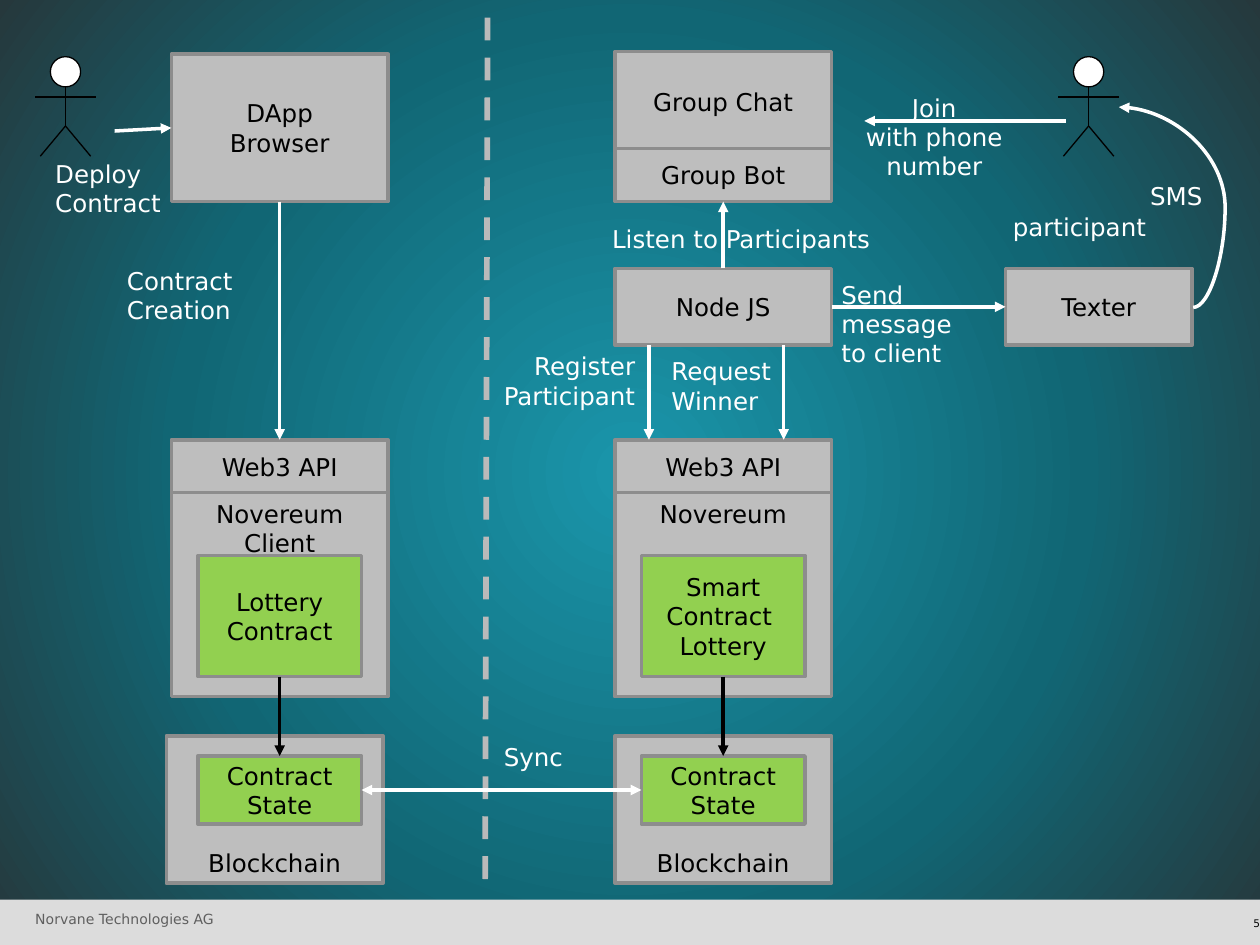
"""Build the lottery contract architecture slide."""
from dataclasses import dataclass
from typing import Any, Optional, Tuple, Union

import pptx
import pptx.dml.color
import pptx.enum.dml
import pptx.enum.shapes
import pptx.enum.text
import pptx.oxml
import pptx.oxml.ns
import pptx.util

Inches = pptx.util.Inches
Align = pptx.enum.text.PP_ALIGN
Anchor = pptx.enum.text.MSO_ANCHOR
Kind = pptx.enum.shapes.MSO_SHAPE
Link = pptx.enum.shapes.MSO_CONNECTOR
TOP, LEFT, BOTTOM, RIGHT = range(4)


@dataclass(frozen=True)
class Theme:
    font: str = "DejaVu Sans"
    grey: str = "BEBEBE"
    green: str = "92D050"
    border: str = "8D8D8D"
    divider: str = "BABABA"
    footer: str = "DCDCDC"
    footer_text: str = "5F5F5F"
    white: str = "FFFFFF"
    black: str = "000000"
    backdrop: Tuple[Tuple[int, str], ...] = ((0, "1A96AB"), (58, "116674"), (100, "26383C"))
    text_size: float = 14
    footer_size: float = 8
    number_size: float = 6
    line: float = 2
    thin: float = 0.75
    thick: float = 3.25


@dataclass(frozen=True)
class Area:
    left: float
    top: float
    width: float
    height: float

    def lengths(self) -> Tuple[Any, ...]:
        return tuple(map(Inches, (self.left, self.top, self.width, self.height)))


@dataclass(frozen=True)
class Side:
    box: Any
    site: int


@dataclass(frozen=True)
class Label:
    text: str
    area: Area
    align: Any = Align.LEFT
    wrap: bool = True
    anchor: Any = Anchor.TOP


End = Union[Side, Tuple[float, float]]
THEME = Theme()
LABELS = (
    Label("Contract\nCreation", Area(0.91, 2.06, 1.04, 0.57), wrap=False),
    Label("Deploy\nContract", Area(0.34, 1.21, 1.04, 0.57), wrap=False),
    Label("Sync", Area(3.9, 5.84, 0.68, 0.34), wrap=False),
    Label("Request\nWinner", Area(5.23, 2.78, 0.99, 0.57), wrap=False),
    Label("Register\nParticipant", Area(3.89, 2.74, 1.25, 0.57), Align.RIGHT, False),
    Label("Join\nwith phone\nnumber", Area(6.68, 0.68, 1.47, 0.81), Align.CENTER, anchor=Anchor.MIDDLE),
    Label("Listen to Participants", Area(4.76, 1.73, 2.53, 0.34)),
    Label("SMS", Area(9.03, 1.39, 1.15, 0.34)),
    Label("participant", Area(7.94, 1.63, 1.46, 0.34)),
    Label("Send\nmessage\nto client", Area(6.58, 2.17, 2.53, 0.81)),
)


def rgb(value: str) -> Any:
    return pptx.dml.color.RGBColor.from_string(value)


def write(frame: Any, text: str, color: str, size: float, align: Any, anchor: Any) -> None:
    frame.text = text
    frame.vertical_anchor = anchor
    for para in frame.paragraphs:
        para.alignment = align
        para.font.name = THEME.font
        para.font.size = pptx.util.Pt(size)
        para.font.color.rgb = rgb(color)


def draw_shape(shapes: Any, kind: Any, area: Area, fill: str, border: Optional[str] = None,
               weight: float = THEME.line) -> Any:
    shape = shapes.add_shape(kind, *area.lengths())
    shape.shadow.inherit = False
    shape.fill.solid()
    shape.fill.fore_color.rgb = rgb(fill)
    if border:
        shape.line.color.rgb = rgb(border)
        shape.line.width = pptx.util.Pt(weight)
    else:
        shape.line.fill.background()
    return shape


def draw_box(page: Any, text: str, area: Area, fill: str = THEME.grey, anchor: Any = Anchor.MIDDLE) -> Any:
    box = draw_shape(page.shapes, Kind.RECTANGLE, area, fill, THEME.border)
    write(box.text_frame, text, THEME.black, THEME.text_size, Align.CENTER, anchor)
    return box


def draw_label(page: Any, label: Label) -> None:
    frame = page.shapes.add_textbox(*label.area.lengths()).text_frame
    frame.word_wrap = label.wrap
    frame.auto_size = pptx.enum.text.MSO_AUTO_SIZE.SHAPE_TO_FIT_TEXT
    write(frame, label.text, THEME.white, THEME.text_size, label.align, label.anchor)


def draw_line(shapes: Any, start: End, end: End, color: str = THEME.white, weight: float = THEME.line,
              heads: Tuple[str, ...] = (), kind: Any = Link.STRAIGHT) -> Any:
    points = [(0, 0) if isinstance(point, Side) else point for point in (start, end)]
    line = shapes.add_connector(kind, *(Inches(value) for point in points for value in point))
    if isinstance(start, Side):
        line.begin_connect(start.box, start.site)
    if isinstance(end, Side):
        line.end_connect(end.box, end.site)
    line.line.color.rgb = rgb(color)
    line.line.width = pptx.util.Pt(weight)
    for head in heads:
        line.line._get_or_add_ln().append(pptx.oxml.parse_xml(
            f'<a:{head} {pptx.oxml.ns.nsdecls("a")} type="triangle"/>'))
    line._element.spPr.append(pptx.oxml.parse_xml(f'<a:effectLst {pptx.oxml.ns.nsdecls("a")}/>'))
    return line


def draw_arrow(page: Any, start: End, end: End, color: str = THEME.white, both: bool = False,
               kind: Any = Link.STRAIGHT) -> Any:
    heads = ("headEnd", "tailEnd") if both else ("tailEnd",)
    return draw_line(page.shapes, start, end, color, heads=heads, kind=kind)


def draw_person(page: Any, center: float) -> None:
    shapes = page.shapes.add_group_shape().shapes
    hip = (center, 1)
    for start, end in (
        ((center - 0.24, 0.77), (center + 0.24, 0.77)),
        ((center, 0.69), hip),
        ((center - 0.2, 1.24), hip),
        ((center + 0.2, 1.24), hip),
    ):
        draw_line(shapes, start, end, THEME.black, THEME.thin)
    draw_shape(shapes, Kind.OVAL, Area(center - 0.12, 0.45, 0.24, 0.24), THEME.white, THEME.black, THEME.thin)


def draw_node(page: Any, left: float, chain_left: float, client: str, contract: str) -> Tuple[Any, Any]:
    api = draw_box(page, "Web3 API", Area(left, 3.49, 1.72, 0.42))
    draw_box(page, client, Area(left, 3.91, 1.72, 1.62), anchor=Anchor.TOP)
    code = draw_box(page, contract, Area(left + 0.21, 4.41, 1.3, 0.96), THEME.green)
    draw_box(page, "Blockchain", Area(chain_left, 5.84, 1.72, 1.17), anchor=Anchor.BOTTOM)
    state = draw_box(page, "Contract State", Area(left + 0.21, 6, 1.3, 0.54), THEME.green)
    draw_arrow(page, Side(code, BOTTOM), Side(state, TOP), THEME.black)
    return api, state


def paint_background(page: Any) -> None:
    page.background.fill.gradient()
    gradient = page._element.find(".//" + pptx.oxml.ns.qn("a:gradFill"))
    stops = "".join(f'<a:gs pos="{place * 1000}"><a:srgbClr val="{color}"/></a:gs>'
                    for place, color in THEME.backdrop)
    gradient.getparent().replace(gradient, pptx.oxml.parse_xml(
        f'<a:gradFill {pptx.oxml.ns.nsdecls("a")} rotWithShape="1"><a:gsLst>{stops}</a:gsLst>'
        '<a:path path="circle"><a:fillToRect l="50000" t="50000" r="50000" b="50000"/></a:path></a:gradFill>'))


def draw_footer(page: Any) -> None:
    draw_shape(page.shapes, Kind.RECTANGLE, Area(0, 7.14, 10, 0.36), THEME.footer)
    for text, left, width, color, size, align in (
        ("Norvane Technologies AG", 0.28, 1.5, THEME.footer_text, THEME.footer_size, Align.LEFT),
        ("5", 9.29, 0.71, THEME.black, THEME.number_size, Align.RIGHT),
    ):
        frame = page.shapes.add_textbox(*Area(left, 7.14, width, 0.36).lengths()).text_frame
        frame.margin_left = frame.margin_right = frame.margin_top = 0
        frame.margin_bottom = Inches(0.14)
        write(frame, text, color, size, align, Anchor.BOTTOM)


def main() -> None:
    deck = pptx.Presentation()
    deck.slide_width, deck.slide_height = Inches(10), Inches(7.5)
    page = deck.slides.add_slide(deck.slide_layouts[6])
    paint_background(page)
    draw_footer(page)

    browser = draw_box(page, "DApp\nBrowser", Area(1.36, 0.43, 1.72, 1.17))
    client_api, client_state = draw_node(page, 1.36, 1.32, "Novereum Client", "Lottery\nContract")
    _, server_state = draw_node(page, 4.88, 4.88, "Novereum", "Smart\nContract \vLottery")
    server = draw_box(page, "Node JS", Area(4.88, 2.13, 1.72, 0.61))
    draw_box(page, "Group Chat", Area(4.88, 0.41, 1.72, 0.8))
    bot = draw_box(page, "Group Bot", Area(4.88, 1.18, 1.72, 0.42))
    gateway = draw_box(page, "Texter", Area(7.98, 2.13, 1.48, 0.61))

    divider = draw_line(page.shapes, (3.87, 0.14), (3.85, 7.1), THEME.divider, THEME.thick)
    divider.line.dash_style = pptx.enum.dml.MSO_LINE.DASH
    draw_arrow(page, Side(browser, BOTTOM), Side(client_api, TOP))
    draw_arrow(page, Side(client_state, RIGHT), Side(server_state, LEFT), both=True)
    draw_arrow(page, Side(server, TOP), Side(bot, BOTTOM))
    draw_arrow(page, Side(server, RIGHT), Side(gateway, LEFT))
    draw_arrow(page, (0.91, 1.04), Side(browser, LEFT))
    draw_arrow(page, (8.46, 0.96), (6.86, 0.96))
    for left in (5.15, 6.22):
        draw_arrow(page, (left, 2.74), (left, 3.49))
    message = draw_arrow(page, (9.47, 2.44), (8.88, 0.85), kind=Link.CURVE)
    message._element.spPr.find(".//" + pptx.oxml.ns.qn("a:avLst")).append(pptx.oxml.parse_xml(
        f'<a:gd {pptx.oxml.ns.nsdecls("a")} name="adj1" fmla="val -43000"/>'))

    for label in LABELS:
        draw_label(page, label)
    for center in (8.64, 0.52):
        draw_person(page, center)
    deck.save("out.pptx")


if __name__ == "__main__":
    main()
